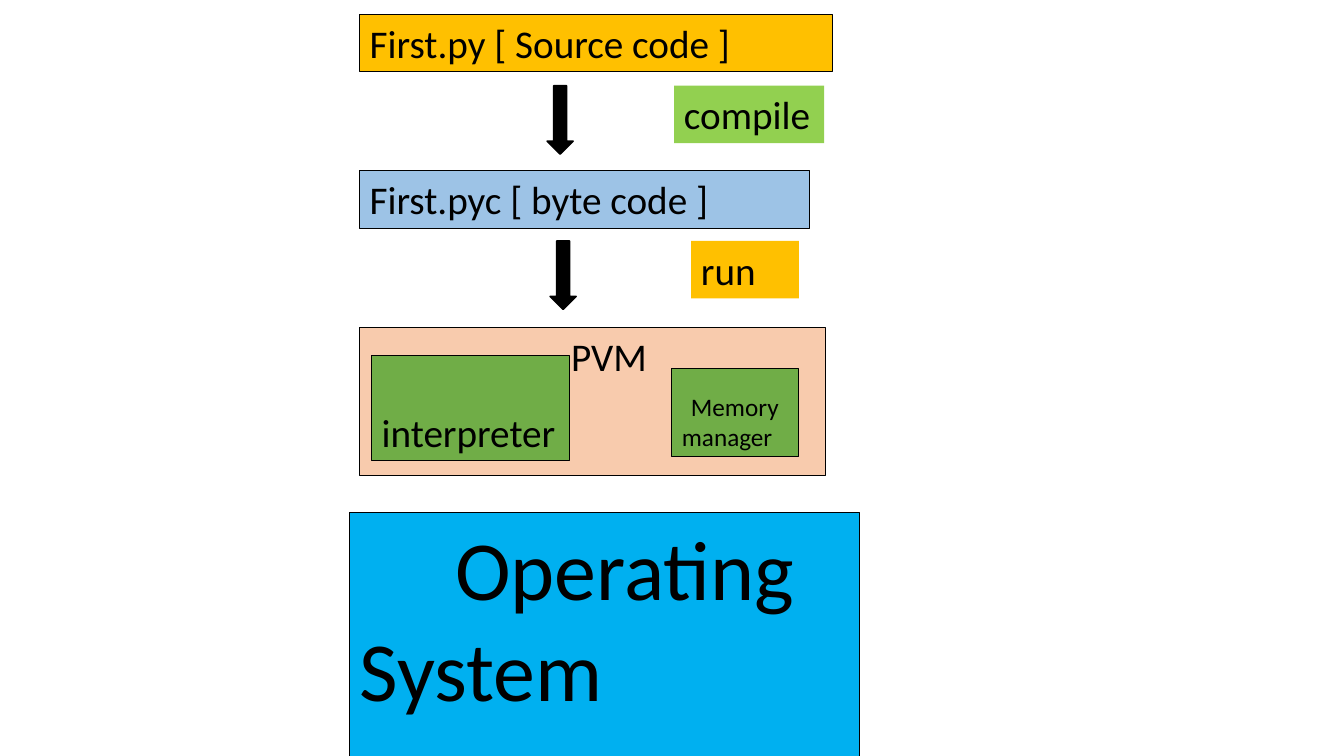
import dataclasses

import pptx
import pptx.dml.color
import pptx.enum.shapes
import pptx.enum.text
import pptx.util

SHAPE = pptx.enum.shapes.MSO_SHAPE
ANCHOR = pptx.enum.text.MSO_ANCHOR
ALIGN = pptx.enum.text.PP_ALIGN


@dataclasses.dataclass(frozen=True)
class Theme:
    font: str = "Calibri"
    ink: str = "000000"
    amber: str = "FFC000"
    blue: str = "9DC3E6"
    peach: str = "F8CBAD"
    green: str = "70AD47"
    lime: str = "92D050"
    sky: str = "00B0F0"
    small: int = 18
    body: int = 28
    huge: int = 60
    border: float = 0.75
    arrow_border: float = 1


class Diagram:
    CELL = pptx.util.Inches(0.1)

    def __init__(self, slide, theme):
        self.slide = slide
        self.theme = theme

    def cells(self, count):
        return round(count * self.CELL)

    def apply(self, target, formats):
        for name, value in formats.items():
            setattr(target, name, value)

    def block(self, kind, place, fill, border):
        shape = self.slide.shapes.add_shape(kind, *map(self.cells, place))
        shape.shadow.inherit = False
        shape.fill.solid()
        shape.fill.fore_color.rgb = pptx.dml.color.RGBColor.from_string(fill)
        if border:
            shape.line.color.rgb = pptx.dml.color.RGBColor.from_string(self.theme.ink)
            shape.line.width = pptx.util.Pt(border)
        else:
            shape.line.fill.background()
        return shape

    def box(self, text, place, fill, size=None, border=None, anchor=ANCHOR.TOP, indent=0):
        frame = self.block(SHAPE.RECTANGLE, place, fill, border).text_frame
        side, edge = self.cells(1), self.cells(0.5)
        self.apply(frame, {
            "word_wrap": True, "vertical_anchor": anchor,
            "margin_left": side, "margin_right": side,
            "margin_top": edge, "margin_bottom": edge,
        })
        paragraph = frame.paragraphs[0]
        paragraph.alignment = ALIGN.LEFT
        paragraph._p.get_or_add_pPr().set("indent", str(self.cells(indent)))
        run = paragraph.add_run()
        run.text = text
        self.apply(run.font, {
            "name": self.theme.font,
            "size": pptx.util.Pt(size or self.theme.body),
        })
        run.font.color.rgb = pptx.dml.color.RGBColor.from_string(self.theme.ink)

    def arrow(self, left, top):
        self.block(SHAPE.DOWN_ARROW, (left, top, 2.6, 6.8),
                   self.theme.ink, self.theme.arrow_border)


def main():
    deck = pptx.Presentation()
    deck.slide_width = pptx.util.Inches(13.34)
    deck.slide_height = pptx.util.Inches(7.5)
    theme = Theme()
    diagram = Diagram(deck.slides.add_slide(deck.slide_layouts[6]), theme)

    stage_left, stage_top, stage_pitch, label_height = 35.7, 1.4, 15.55, 5.7
    stages = [
        ("First.py [ Source code ]", 46.9, label_height, theme.amber, 0),
        ("First.pyc [ byte code ]", 44.7, label_height, theme.blue, 0),
        ("PVM", 46.2, 14.7, theme.peach, 20),
    ]
    for row, (text, width, height, fill, indent) in enumerate(stages):
        place = (stage_left, stage_top + row * stage_pitch, width, height)
        diagram.box(text, place, fill, border=theme.border, indent=indent)

    diagram.box("interpreter", (36.9, 35.3, 19.6, 10.4), theme.green,
                border=theme.border, anchor=ANCHOR.BOTTOM)
    diagram.box("Memory manager", (66.7, 36.6, 12.6, 8.7), theme.green, theme.small,
                border=theme.border, anchor=ANCHOR.BOTTOM, indent=0.9)
    diagram.box("Operating System", (34.7, 50.8, 50.6, 30), theme.sky, theme.huge,
                border=theme.border, indent=9.5)

    steps = [
        ("compile", 54.3, 8.5, 66.9, 14.9, theme.lime),
        ("run", 54.6, 23.9, 68.6, 10.7, theme.amber),
    ]
    for text, arrow_left, top, left, width, fill in steps:
        diagram.arrow(arrow_left, top)
        diagram.box(text, (left, top, width, label_height), fill)

    deck.save("out.pptx")


if __name__ == "__main__":
    main()
